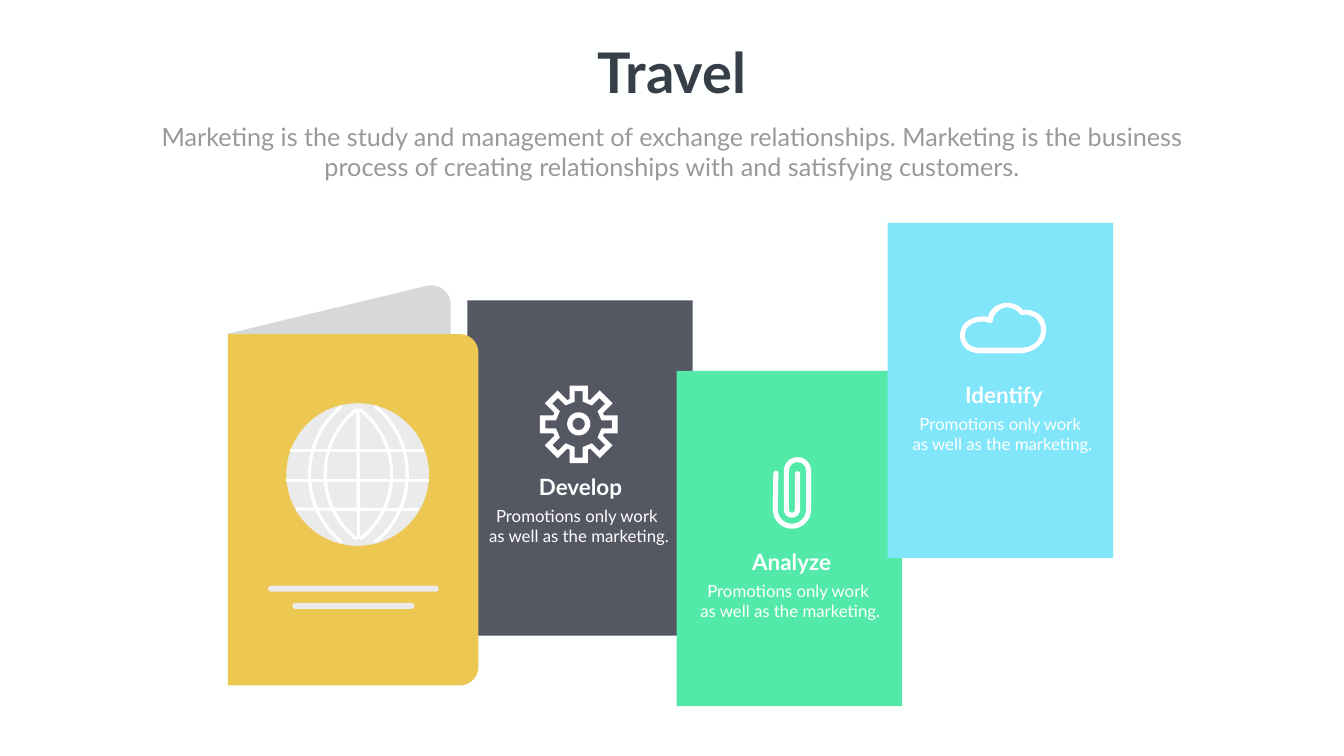
from math import cos, radians, sin

from lxml.etree import SubElement
from pptx import Presentation
from pptx.dml.color import RGBColor
from pptx.enum.shapes import MSO_CONNECTOR, MSO_SHAPE
from pptx.enum.text import MSO_ANCHOR, PP_ALIGN
from pptx.oxml.ns import qn
from pptx.util import Inches, Pt

TITLE = "Travel"
SUBTITLE = (
    "Marketing is the study and management of exchange relationships. "
    "Marketing is the business process of creating relationships with and satisfying customers."
)
BODY = ["Promotions only work ", "as well as the marketing."]
CARD_SIZE = (4.47, 6.65)
CARDS = [
    {"heading": "Develop", "corner": (9.27, 5.96), "text": (10.26, 9.34), "fill": "555763"},
    {"heading": "Analyze", "corner": (13.42, 7.36), "text": (14.45, 10.83), "fill": "53EAA9"},
    {"heading": "Identify", "corner": (17.61, 4.42), "text": (18.66, 7.52), "fill": "82E6FB"},
]
WHITE, PAPER, PALE, COVER, GREY = "FFFFFF", "FEFFFF", "EBEBEB", "ECC752", "808080"
GLOBE_CENTER = (7.11, 9.41)
MERIDIANS = [(0.33, 0.97, 1.35), (0.03, 0.66, 1.29)]
GLOBE_LINES = [
    (7.1, 8.11, 7.11, 10.69),
    (5.68, 9.53, 8.5, 9.53),
    (5.87, 10.1, 8.3, 10.11),
    (5.75, 8.94, 8.41, 8.94),
]
COVER_BARS = [(5.32, 11.62, 3.38, 0.12), (5.8, 11.96, 2.42, 0.12)]
GEAR_CENTER = (11.48, 8.42)
CLIP_ARCS = [
    (15.71, 10.11, 0.33, 180, 0),
    (15.82, 9.34, 0.22, 0, -180),
    (15.71, 10.11, 0.11, 180, 0),
]
CLIP_ENDS = [(15.82, 9.4), (15.39, 9.39)]
CLIP_HALF_WIDTH = 0.05
CLOUD_OUTER = [
    (20.22, 7.01), (19.44, 7.01),
    (19.28, 7.01, 19.15, 6.94, 19.09, 6.83), (19.03, 6.72, 19.03, 6.59, 19.09, 6.48),
    (19.12, 6.42, 19.17, 6.37, 19.25, 6.34), (19.31, 6.3, 19.4, 6.28, 19.49, 6.28),
    (19.54, 6.28, 19.57, 6.28, 19.6, 6.29), (19.64, 6.12, 19.8, 6.01, 19.98, 6.01),
    (20.1, 6.01, 20.22, 6.06, 20.29, 6.15), (20.3, 6.15, 20.31, 6.15, 20.34, 6.15),
    (20.46, 6.15, 20.57, 6.19, 20.65, 6.27), (20.72, 6.35, 20.75, 6.44, 20.75, 6.55),
    (20.75, 6.67, 20.71, 6.78, 20.61, 6.86), (20.52, 6.95, 20.38, 7.01, 20.22, 7.01),
]
CLOUD_INNER = [
    (19.49, 6.38), (19.42, 6.38, 19.34, 6.4, 19.29, 6.42),
    (19.24, 6.45, 19.2, 6.48, 19.17, 6.53), (19.13, 6.6, 19.13, 6.7, 19.17, 6.77),
    (19.22, 6.86, 19.31, 6.9, 19.44, 6.9), (20.22, 6.9),
    (20.36, 6.9, 20.47, 6.87, 20.55, 6.79), (20.61, 6.73, 20.65, 6.64, 20.65, 6.55),
    (20.65, 6.47, 20.62, 6.4, 20.57, 6.34), (20.52, 6.28, 20.43, 6.25, 20.34, 6.24),
    (20.31, 6.24, 20.29, 6.25, 20.28, 6.25), (20.26, 6.25, 20.24, 6.24, 20.23, 6.23),
    (20.18, 6.16, 20.08, 6.1, 19.98, 6.1), (19.84, 6.1, 19.71, 6.22, 19.69, 6.37),
    (19.69, 6.38, 19.68, 6.4, 19.66, 6.4), (19.65, 6.41, 19.63, 6.41, 19.62, 6.41),
    (19.58, 6.39, 19.54, 6.38, 19.49, 6.38),
]
FLAP = [(4.52, 6.62), (8.47, 5.67), (8.71, 5.62, 8.94, 5.79, 8.94, 6.05), (8.94, 7.18)]


def color(value):
    """Turn a hex string into a colour."""
    return RGBColor.from_string(value)


def trace(steps, count=12):
    """Turn points and cubic curve steps into a list of points."""
    points = [steps[0]]
    for step in steps[1:]:
        if len(step) == 2:
            points.append(step)
            continue
        corners = [points[-1], step[:2], step[2:4], step[4:]]
        for index in range(1, count + 1):
            t = index / count
            weights = [(1 - t) ** 3, 3 * t * (1 - t) ** 2, 3 * t * t * (1 - t), t ** 3]
            points.append(tuple(
                sum(weight * corner[axis] for weight, corner in zip(weights, corners))
                for axis in (0, 1)
            ))
    return points


def arc(x, y, radius, start, end, count=16):
    """List the points of a circular arc."""
    angles = [radians(start + (end - start) * index / count) for index in range(count + 1)]
    return [(x + radius * cos(angle), y + radius * sin(angle)) for angle in angles]


def gear(tip, half, base):
    """List the points of a contour with eight teeth."""
    points = []
    for tooth in range(8):
        turn = radians(45 * tooth)
        for along, across in ((base, -half), (tip, -half), (tip, half), (base, half)):
            points.append((
                GEAR_CENTER[0] + along * cos(turn) - across * sin(turn),
                GEAR_CENTER[1] + along * sin(turn) + across * cos(turn),
            ))
    return points


def clip():
    """List the points of the paperclip contour."""
    outer, inner = (
        [point for x, y, radius, start, end in CLIP_ARCS
         for point in arc(x, y, radius + offset, start, end)]
        for offset in (CLIP_HALF_WIDTH, -CLIP_HALF_WIDTH)
    )
    last, first = (arc(x, y, CLIP_HALF_WIDTH, 0, -180) for x, y in CLIP_ENDS)
    return outer + last + inner[::-1] + first


def paint(shape, fill):
    """Give a shape a plain fill without line or shadow."""
    shape.shadow.inherit = False
    shape.fill.solid()
    shape.fill.fore_color.rgb = color(fill)
    shape.line.fill.background()
    return shape


def add_outline(slide, contours, closed=True):
    """Add a freeform made of one or more contours."""
    scaled = [[(Inches(x), Inches(y)) for x, y in contour] for contour in contours]
    builder = slide.shapes.build_freeform(*scaled[0][0], scale=1.0)
    for index, contour in enumerate(scaled):
        if index:
            builder.move_to(*contour[0])
        builder.add_line_segments(contour[1:], close=closed)
    return builder.convert_to_shape()


def add_preset(slide, kind, box, fill):
    """Add a painted preset shape."""
    return paint(slide.shapes.add_shape(kind, *map(Inches, box)), fill)


def write(shape, lines, size, ink, bold=False, wrap=True):
    """Set centred text lines in a shape."""
    frame = shape.text_frame
    frame.text = "\n".join(lines)
    frame.word_wrap = wrap
    for paragraph in frame.paragraphs:
        paragraph.alignment = PP_ALIGN.CENTER
        for run in paragraph.runs:
            run.font.name, run.font.size, run.font.bold = "Lato", Pt(size), bold
            run.font.color.rgb = color(ink)


def add_text(slide, box, *style):
    """Add a text box."""
    write(slide.shapes.add_textbox(*map(Inches, box)), *style)


def add_passport(slide):
    """Draw the cover, its bars and the globe."""
    cover = [(4.52, 13.6), (4.52, 6.63)]
    cover += arc(9.12, 7, 0.37, -90, 0) + arc(9.12, 13.23, 0.37, 0, 90)
    paint(add_outline(slide, [cover]), COVER)
    for box in COVER_BARS:
        add_preset(slide, MSO_SHAPE.ROUNDED_RECTANGLE, box, PALE).adjustments[0] = 0.5
    add_preset(slide, MSO_SHAPE.OVAL, (5.68, 8, 2.83, 2.83), PALE)
    x, y = GLOBE_CENTER
    strokes = []
    for near, far, height in MERIDIANS:
        bend = near + 0.61 * (far - near)
        for side in (1, -1):
            points = trace([
                (x + side * near, y - height),
                (x + side * bend, y - 0.77 * height, x + side * far, y - 0.41 * height, x + side * far, y),
                (x + side * far, y + 0.41 * height, x + side * bend, y + 0.77 * height, x + side * near, y + height),
            ])
            meridian = add_outline(slide, [points], closed=False)
            meridian.shadow.inherit = False
            meridian.fill.background()
            strokes.append(meridian)
    for ends in GLOBE_LINES:
        connector = slide.shapes.add_connector(MSO_CONNECTOR.STRAIGHT, *map(Inches, ends))
        SubElement(connector.line._get_or_add_ln().getparent(), qn("a:effectLst"))
        strokes.append(connector)
    for stroke in strokes:
        stroke.line.color.rgb = color(PAPER)
        stroke.line.width = Pt(4.5)


def main():
    """Build and save the slide."""
    presentation = Presentation()
    presentation.slide_width, presentation.slide_height = Inches(26.66), Inches(15)
    slide = presentation.slides.add_slide(presentation.slide_layouts[5])
    slide.background.fill.solid()
    slide.background.fill.fore_color.rgb = color(PAPER)
    title = slide.shapes.title
    title.left, title.top, title.width, title.height = map(Inches, (11.65, 0.7, 3.36, 1.45))
    write(title, [TITLE], 80, "363E48", True, False)
    title.text_frame.vertical_anchor = MSO_ANCHOR.TOP
    add_text(slide, (2.68, 2.36, 21.3, 1.31), [SUBTITLE], 36, "999999")

    flap = paint(add_outline(slide, [trace(FLAP)]), GREY)
    fill_color = flap.fill._xPr.find(qn("a:solidFill"))[0]
    SubElement(fill_color, qn("a:alpha"), val="30000")
    for card in CARDS:
        add_preset(slide, MSO_SHAPE.RECTANGLE, card["corner"] + CARD_SIZE, card["fill"])
    add_passport(slide)

    hub = add_preset(slide, MSO_SHAPE.DONUT, (11.25, 8.18, 0.46, 0.46), WHITE)
    hub.adjustments[0] = 0.23
    gear_contours = [gear(0.77, 0.18, 0.5), gear(0.66, 0.08, 0.45)]
    for contours in (gear_contours, [clip()], [trace(CLOUD_OUTER), trace(CLOUD_INNER)]):
        paint(add_outline(slide, contours), WHITE)
    for card in CARDS:
        left, top = card["text"]
        add_text(slide, (left, top, 2.51, 0.64), [card["heading"]], 32, PAPER, True)
        add_text(slide, (left - 0.71, top + 0.64, 3.87, 0.91), BODY, 24, WHITE)
    presentation.save("out.pptx")


if __name__ == "__main__":
    main()
